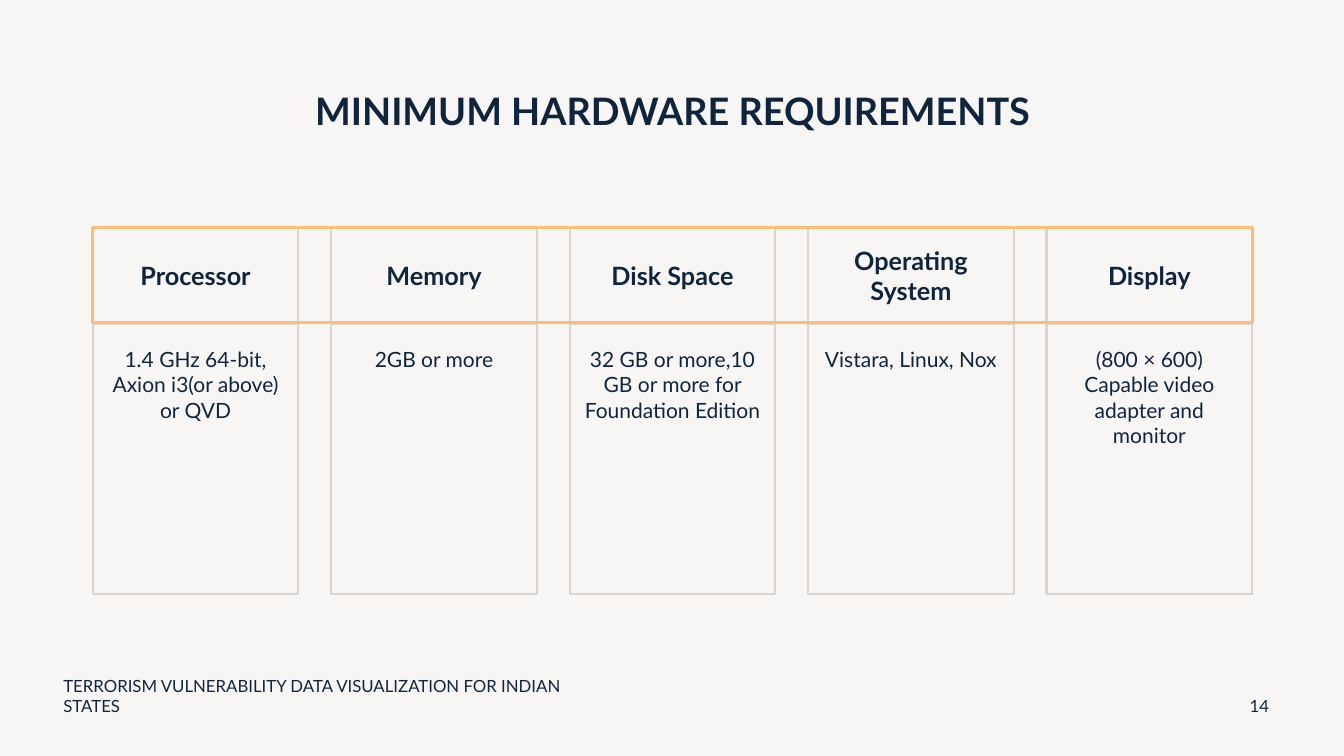
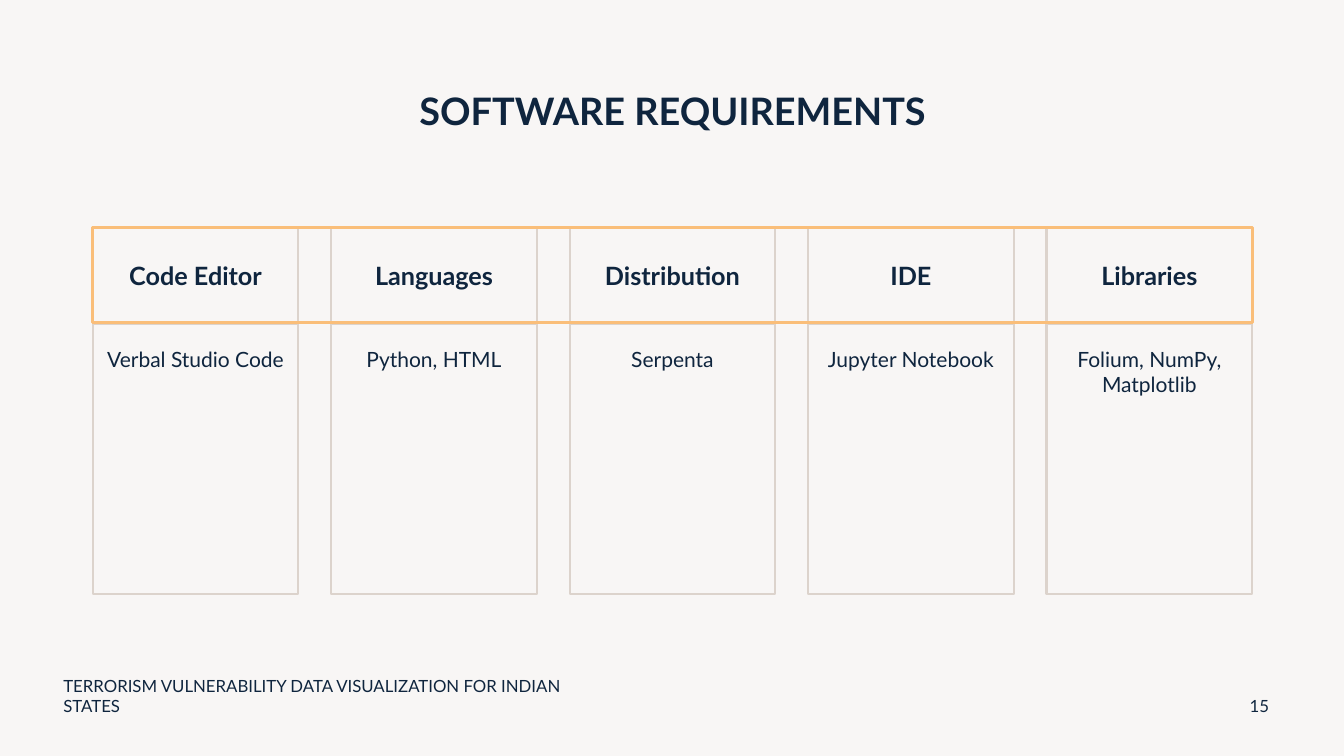
from dataclasses import dataclass

from pptx import Presentation
from pptx import util as u
from pptx.dml.color import RGBColor
from pptx.enum import shapes, text

COLORS = {"ink": "0F253E", "page": "F8F6F5", "rule": "DCD3CC", "accent": "FABE79"}
FONT = "Lato"
FOOTER = "TERRORISM VULNERABILITY DATA VISUALIZATION FOR INDIAN STATES"
PAGE_WIDTH, PAGE_HEIGHT = 13.33, 7.5
GRID_LEFT, GRID_WIDTH, COLUMN_WIDTH = 0.92, 11.5, 2.04
HEADER_TOP, HEADER_HEIGHT = 2.26, 0.95
DETAIL_TOP, DETAIL_HEIGHT = 3.2, 2.69


@dataclass(frozen=True)
class Area:
    left: float
    top: float
    width: float
    height: float

    def lengths(self) -> tuple:
        return tuple(u.Inches(n) for n in (self.left, self.top, self.width, self.height))


@dataclass(frozen=True)
class Requirement:
    heading: str
    detail: str


@dataclass(frozen=True)
class Topic:
    title: str
    number: int
    requirements: tuple[Requirement, ...]


TOPICS = (
    Topic("MINIMUM HARDWARE REQUIREMENTS", 14, (
        Requirement("Processor", "1.4 GHz 64-bit, Axion i3(or above) or QVD"),
        Requirement("Memory", "2GB or more"),
        Requirement("Disk Space", "32 GB or more,10 GB or more for Foundation Edition"),
        Requirement("Operating System", "Vistara, Linux, Nox"),
        Requirement("Display", "(800 × 600) Capable video adapter and monitor"),
    )),
    Topic("SOFTWARE REQUIREMENTS", 15, (
        Requirement("Code Editor", "Verbal Studio Code"),
        Requirement("Languages", "Python, HTML"),
        Requirement("Distribution", "Serpenta"),
        Requirement("IDE", "Jupyter Notebook"),
        Requirement("Libraries", "Folium, NumPy, Matplotlib"),
    )),
)


def color(name: str) -> RGBColor:
    return RGBColor.from_string(COLORS[name])


def write(box, words: str, *, size: float, bold: bool = False,
          align=text.PP_ALIGN.CENTER, anchor=text.MSO_ANCHOR.MIDDLE,
          inset_top: float = 0.05, line_spacing: float = 1.0) -> None:
    frame = box.text_frame
    frame.word_wrap = True
    frame.auto_size = text.MSO_AUTO_SIZE.NONE
    frame.vertical_anchor = anchor
    frame.margin_left = frame.margin_right = u.Inches(0.1)
    frame.margin_top, frame.margin_bottom = u.Inches(inset_top), u.Inches(0.05)
    para = frame.paragraphs[0]
    para.alignment = align
    para.line_spacing = line_spacing
    span = para.add_run()
    span.text = words
    span.font.name = FONT
    span.font.size = u.Pt(size)
    span.font.bold = bold
    span.font.color.rgb = color("ink")


def add_frame(page, area: Area, *, line: str, weight: float):
    box = page.shapes.add_shape(shapes.MSO_SHAPE.RECTANGLE, *area.lengths())
    box.shadow.inherit = False
    box.fill.background()
    box.line.color.rgb = color(line)
    box.line.width = u.Pt(weight)
    return box


def add_label(page, area: Area, words: str, align) -> None:
    write(page.shapes.add_textbox(*area.lengths()), words, size=12, align=align)


def add_column(page, left: float, requirement: Requirement) -> None:
    header = Area(left, HEADER_TOP, COLUMN_WIDTH, HEADER_HEIGHT)
    detail = Area(left, DETAIL_TOP, COLUMN_WIDTH, DETAIL_HEIGHT)
    write(add_frame(page, header, line="rule", weight=1.5),
          requirement.heading, size=18, bold=True)
    write(add_frame(page, detail, line="rule", weight=1.5),
          requirement.detail, size=15, anchor=text.MSO_ANCHOR.TOP, inset_top=0.24)


def add_topic(deck, topic: Topic) -> None:
    page = deck.slides.add_slide(deck.slide_layouts.get_by_name("Title Only"))
    title = page.shapes.title
    title.left, title.top, title.width, title.height = Area(
        GRID_LEFT, 0.4, GRID_WIDTH, 1.45).lengths()
    write(title, topic.title, size=27, bold=True, line_spacing=0.9)
    pitch = (GRID_WIDTH - COLUMN_WIDTH) / (len(topic.requirements) - 1)
    for index, requirement in enumerate(topic.requirements):
        add_column(page, GRID_LEFT + index * pitch, requirement)
    add_frame(page, Area(GRID_LEFT, HEADER_TOP, GRID_WIDTH, DETAIL_TOP - HEADER_TOP),
              line="accent", weight=2.25)
    add_label(page, Area(0.53, 6.7, 5.39, 0.4), FOOTER, text.PP_ALIGN.LEFT)
    add_label(page, Area(12.24, 6.8, 0.5, 0.4), str(topic.number), text.PP_ALIGN.CENTER)


def main() -> None:
    deck = Presentation()
    deck.slide_width, deck.slide_height = u.Inches(PAGE_WIDTH), u.Inches(PAGE_HEIGHT)
    backdrop = deck.slide_master.background.fill
    backdrop.solid()
    backdrop.fore_color.rgb = color("page")
    for topic in TOPICS:
        add_topic(deck, topic)
    deck.save("out.pptx")


if __name__ == "__main__":
    main()
